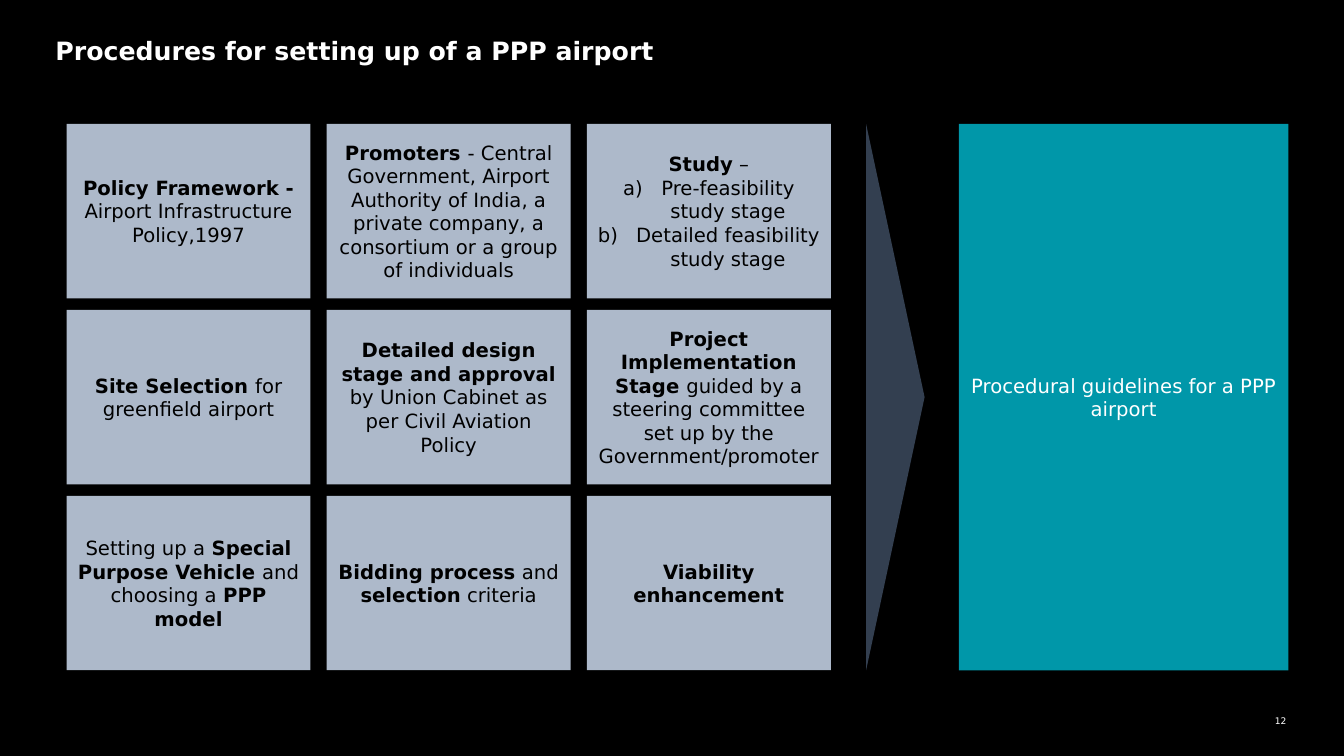
import pptx
import pptx.dml.color
import pptx.enum.shapes
import pptx.enum.text
import pptx.oxml
import pptx.util
from pptx.util import Inches

COLORS = {"background": "000000", "step": "ADB9CA", "arrow": "333F50",
          "outcome": "0097A9", "dark": "000000", "light": "FFFFFF"}
FONT = "DejaVu Sans"
ALIGN = pptx.enum.text.PP_ALIGN
ANCHOR = pptx.enum.text.MSO_ANCHOR
SHAPES = pptx.enum.shapes.MSO_SHAPE


def write(frame, text, size=14, color="dark", align=ALIGN.CENTER,
          anchor=ANCHOR.MIDDLE, inset=0.1):
    """Each line is a paragraph, *stars* mark bold, a leading # numbers it a), b)."""
    frame.word_wrap = True
    frame.auto_size = pptx.enum.text.MSO_AUTO_SIZE.NONE
    frame.vertical_anchor = anchor
    frame.margin_left = frame.margin_right = Inches(inset)
    frame.margin_top = frame.margin_bottom = Inches(inset)
    for index, line in enumerate(text.split("\n")):
        paragraph = frame.paragraphs[0] if index == 0 else frame.add_paragraph()
        paragraph.alignment = align
        if line.startswith("#"):
            line = line[1:]
            properties = paragraph._p.get_or_add_pPr()
            properties.set("marL", str(Inches(0.38)))
            properties.set("indent", str(-Inches(0.38)))
            properties.append(pptx.oxml.parse_xml(
                '<a:buAutoNum xmlns:a="http://schemas.openxmlformats.org/'
                'drawingml/2006/main" type="alphaLcParenR"/>'))
        paragraph.font.size = pptx.util.Pt(size)
        for part, words in enumerate(line.split("*")):
            if words:
                run = paragraph.add_run()
                run.text = words
                run.font.name = FONT
                run.font.size = pptx.util.Pt(size)
                run.font.bold = part % 2 == 1
                run.font.color.rgb = pptx.dml.color.RGBColor.from_string(COLORS[color])


def add_block(kind, left, top, width, height, color):
    block = slide.shapes.add_shape(kind, Inches(left), Inches(top),
                                   Inches(width), Inches(height))
    block.shadow.inherit = False
    block.fill.solid()
    block.fill.fore_color.rgb = pptx.dml.color.RGBColor.from_string(COLORS[color])
    block.line.fill.background()
    return block


# Slide
presentation = pptx.Presentation()
presentation.slide_width = Inches(13.33)
presentation.slide_height = Inches(7.5)
slide = presentation.slides.add_slide(presentation.slide_layouts[5])
slide.background.fill.solid()
slide.background.fill.fore_color.rgb = pptx.dml.color.RGBColor.from_string(
    COLORS["background"])

# Title
heading = slide.shapes.title
heading.left, heading.top = Inches(0.55), Inches(0.35)
heading.width, heading.height = Inches(12.24), Inches(0.76)
write(heading.text_frame, "*Procedures for setting up of a PPP airport*", size=18,
      color="light", align=ALIGN.LEFT, anchor=ANCHOR.TOP, inset=0)

# Grid of procedure steps
steps = [
    ["*Policy Framework - *Airport Infrastructure Policy,1997",
     "*Promoters *- Central Government, Airport Authority of India, "
     "a private company, a consortium or a group of individuals",
     "*Study* –\n#Pre-feasibility study stage\n#Detailed feasibility study stage"],
    ["*Site Selection *for greenfield airport",
     "*Detailed design stage and approval* by Union Cabinet as per Civil Aviation Policy",
     "*Project Implementation Stage *guided by a steering committee "
     "set up by the Government/promoter"],
    ["Setting up a *Special Purpose Vehicle *and choosing a *PPP model*",
     "*Bidding process* and *selection* criteria",
     "*Viability enhancement*"],
]
for row, row_steps in enumerate(steps):
    for column, step in enumerate(row_steps):
        step_box = add_block(SHAPES.RECTANGLE, 0.66 + 2.58 * column,
                             1.23 + 1.845 * row, 2.42, 1.73, "step")
        write(step_box.text_frame, step)

# Arrow to the outcome
arrow = add_block(SHAPES.PENTAGON, 8.59, 1.23, 0.58, 5.42, "arrow")
arrow.adjustments[0] = 1
outcome = add_block(SHAPES.RECTANGLE, 9.51, 1.23, 3.27, 5.42, "outcome")
write(outcome.text_frame, "Procedural guidelines for a PPP airport", color="light")

# Page number
page_number = slide.shapes.add_textbox(Inches(12.25), Inches(7.1),
                                       Inches(0.51), Inches(0.36))
write(page_number.text_frame, "12", size=6.5, color="light", align=ALIGN.RIGHT,
      anchor=ANCHOR.TOP, inset=0)

presentation.save("out.pptx")
